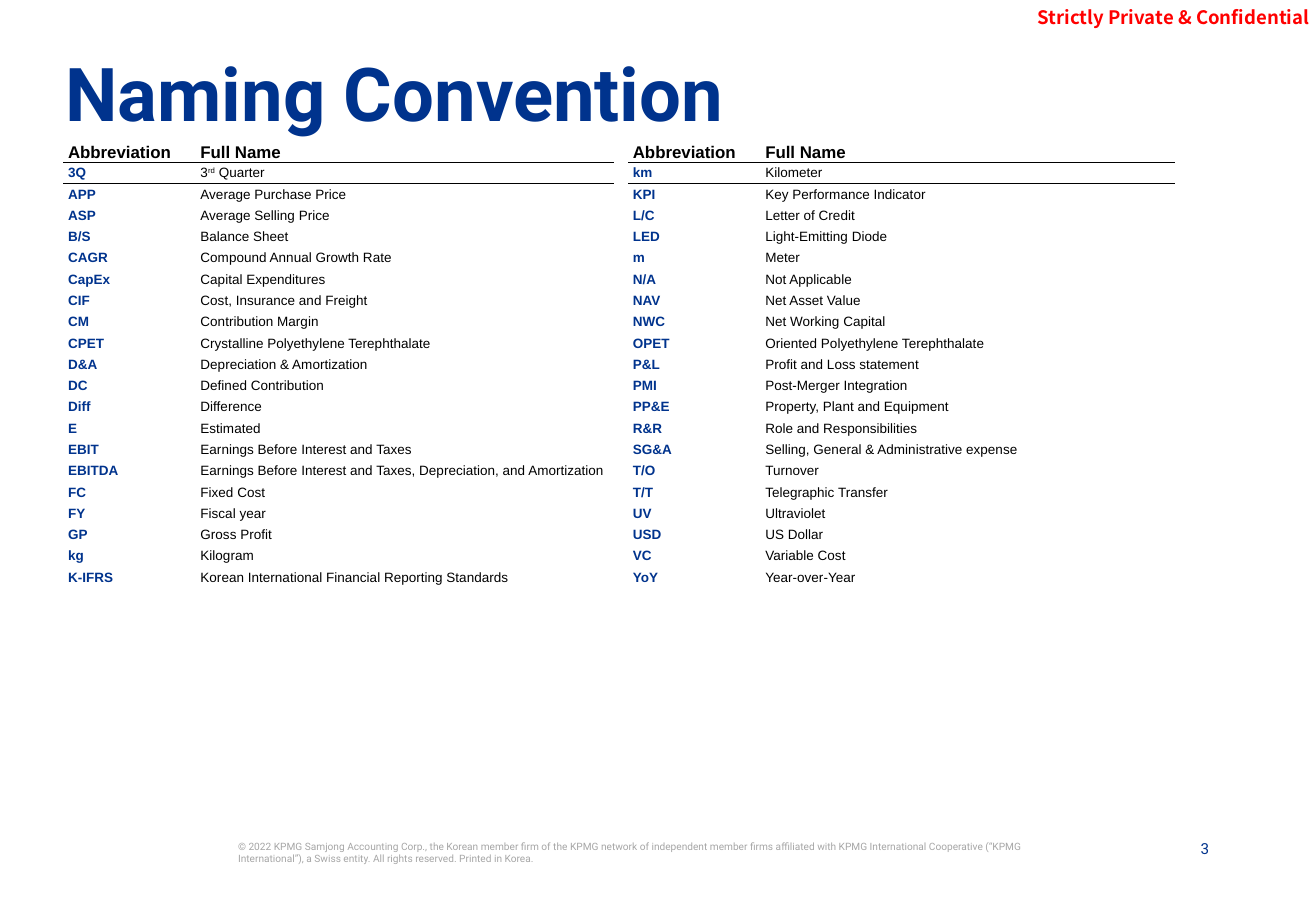
import pptx
import pptx.dml.color
import pptx.enum.text
import pptx.oxml
import pptx.oxml.ns
import pptx.util
from lxml import etree
from pptx.util import Inches

NAVY = pptx.dml.color.RGBColor(0x00, 0x33, 0x8D)
BLACK = pptx.dml.color.RGBColor(0x00, 0x00, 0x00)
RED = pptx.dml.color.RGBColor(0xFF, 0x00, 0x00)
GRAY = pptx.dml.color.RGBColor(0xA6, 0xA6, 0xA6)

ALIGN = pptx.enum.text.PP_ALIGN
ANCHOR = pptx.enum.text.MSO_ANCHOR

HEADER = ("Abbreviation", "Full Name")
LEFT_TERMS = [
    ("3Q", "3rd Quarter"),
    ("APP", "Average Purchase Price"),
    ("ASP", "Average Selling Price"),
    ("B/S", "Balance Sheet"),
    ("CAGR", "Compound Annual Growth Rate"),
    ("CapEx", "Capital Expenditures"),
    ("CIF", "Cost, Insurance and Freight"),
    ("CM", "Contribution Margin"),
    ("CPET", "Crystalline Polyethylene Terephthalate"),
    ("D&A", "Depreciation & Amortization"),
    ("DC", "Defined Contribution"),
    ("Diff", "Difference"),
    ("E", "Estimated"),
    ("EBIT", "Earnings Before Interest and Taxes"),
    ("EBITDA", "Earnings Before Interest and Taxes, Depreciation, and Amortization"),
    ("FC", "Fixed Cost"),
    ("FY", "Fiscal year"),
    ("GP", "Gross Profit"),
    ("kg", "Kilogram"),
    ("K-IFRS", "Korean International Financial Reporting Standards"),
]
RIGHT_TERMS = [
    ("km", "Kilometer"),
    ("KPI", "Key Performance Indicator"),
    ("L/C", "Letter of Credit"),
    ("LED", "Light-Emitting Diode"),
    ("m", "Meter"),
    ("N/A", "Not Applicable"),
    ("NAV", "Net Asset Value"),
    ("NWC", "Net Working Capital"),
    ("OPET", "Oriented Polyethylene Terephthalate"),
    ("P&L", "Profit and Loss statement"),
    ("PMI", "Post-Merger Integration"),
    ("PP&E", "Property, Plant and Equipment"),
    ("R&R", "Role and Responsibilities"),
    ("SG&A", "Selling, General & Administrative expense"),
    ("T/O", "Turnover"),
    ("T/T", "Telegraphic Transfer"),
    ("UV", "Ultraviolet"),
    ("USD", "US Dollar"),
    ("VC", "Variable Cost"),
    ("YoY", "Year-over-Year"),
]
COLUMN_WIDTHS = (1.09, 3.44, 0.11, 1.09, 3.41)
ROW_COUNT = 31
TABLE_HEIGHT = 5.44
COPYRIGHT = (
    "© 2022 KPMG Samjong Accounting Corp., the Korean member firm of the KPMG network of "
    "independent member firms affiliated with KPMG International Cooperative (“KPMG "
    "International”), a Swiss entity. All rights reserved. Printed in Korea."
)


def add_span(para, text, size, color, bold=False, name="Arial"):
    span = para.add_run()
    span.text = text
    span.font.size = pptx.util.Pt(size)
    span.font.name = name
    span.font.bold = bold
    span.font.color.rgb = color
    return span


def add_text(slide, place, text, size, color, bold=False, name="Roboto",
             align=ALIGN.LEFT, anchor=ANCHOR.TOP, insets=(0, 0, 0, 0)):
    """Add a one-paragraph box; insets run left, top, right, bottom."""
    box = slide.shapes.add_textbox(*map(Inches, place))
    frame = box.text_frame
    frame.word_wrap = True
    frame.vertical_anchor = anchor
    (frame.margin_left, frame.margin_top,
     frame.margin_right, frame.margin_bottom) = map(Inches, insets)
    para = frame.paragraphs[0]
    para.alignment = align
    add_span(para, text, size, color, bold, name)
    return para


def set_border(cell, side, color):
    """Draw a half-point rule on one side: "T" or "B"."""
    properties = cell._tc.get_or_add_tcPr()
    namespace = pptx.oxml.ns.nsdecls("a")
    line = pptx.oxml.parse_xml(
        f'<a:ln{side} {namespace} w="6350"><a:solidFill>'
        f'<a:srgbClr val="{color}"/></a:solidFill></a:ln{side}>')
    properties.insert(0, line)


def format_cell(cell, top_inset=0):
    cell.fill.background()
    cell.vertical_anchor = ANCHOR.MIDDLE
    cell.margin_left = cell.margin_right = Inches(0.04)
    cell.margin_top = Inches(top_inset)
    cell.margin_bottom = 0


def shrink_empty_cell(cell):
    """Keep an empty cell from stretching its row."""
    para = cell.text_frame.paragraphs[0]
    etree.SubElement(para._p, pptx.oxml.ns.qn("a:endParaRPr"), sz="800")


def fill_term(table, row, column, term):
    abbreviation, full_name = (table.cell(row, column + step) for step in (0, 1))
    add_span(abbreviation.text_frame.paragraphs[0], term[0], 8, NAVY, True)
    para = full_name.text_frame.paragraphs[0]
    number, ordinal, rest = term[1].partition("rd ")
    if number.isdigit():
        add_span(para, number, 8, BLACK)
        suffix = add_span(para, ordinal.strip(), 8, BLACK)
        suffix.font._element.set("baseline", "30000")
        add_span(para, " " + rest, 8, BLACK)
    else:
        add_span(para, term[1], 8, BLACK)


def add_glossary(slide):
    frame = slide.shapes.add_table(
        ROW_COUNT, len(COLUMN_WIDTHS), Inches(0.52), Inches(1.16),
        Inches(sum(COLUMN_WIDTHS)), Inches(TABLE_HEIGHT))
    table = frame.table
    table.first_row = table.horz_banding = False
    style = table._tbl.tblPr.find(pptx.oxml.ns.qn("a:tableStyleId"))
    style.text = "{2D5ABB26-0587-4C30-8999-92F81FD0307C}"
    for column, width in zip(table.columns, COLUMN_WIDTHS):
        column.width = Inches(width)
    for index, row in enumerate(table.rows):
        row.height = Inches(TABLE_HEIGHT / ROW_COUNT)
        for cell in row.cells:
            format_cell(cell, 0.01 if index == 0 else 0)

    for first_column, terms in ((0, LEFT_TERMS), (3, RIGHT_TERMS)):
        for step, label in enumerate(HEADER):
            cell = table.cell(0, first_column + step)
            add_span(cell.text_frame.paragraphs[0], label, 10, BLACK, True)
            set_border(cell, "B", BLACK)
            set_border(table.cell(1, first_column + step), "T", BLACK)
        for row, term in enumerate(terms, start=1):
            fill_term(table, row, first_column, term)

    for cell in table.iter_cells():
        if not cell.text_frame.text:
            shrink_empty_cell(cell)


def main():
    deck = pptx.Presentation()
    deck.slide_width = Inches(10.83)
    deck.slide_height = Inches(7.5)
    page = deck.slides.add_slide(deck.slide_layouts[6])

    add_text(page, (9.52, 6.91, 0.43, 0.16), "3", 9, NAVY, align=ALIGN.RIGHT)
    add_text(page, (8.32, -0.01, 2.5, 0.28), "Strictly Private & Confidential", 11, RED,
             bold=True, name="Noto Sans CJK KR", align=ALIGN.RIGHT,
             anchor=ANCHOR.BOTTOM, insets=(0, 0.04, 0.04, 0.04))
    add_text(page, (1.96, 6.92, 6.53, 0.5), COPYRIGHT, 6, GRAY)
    add_glossary(page)
    title = add_text(page, (0.44, 0.54, 9.4, 0.64), "Naming Convention", 44, NAVY,
                     bold=True, insets=(0.1, 0.05, 0.1, 0.05))
    title.line_spacing = 0.7
    deck.save("out.pptx")


if __name__ == "__main__":
    main()
